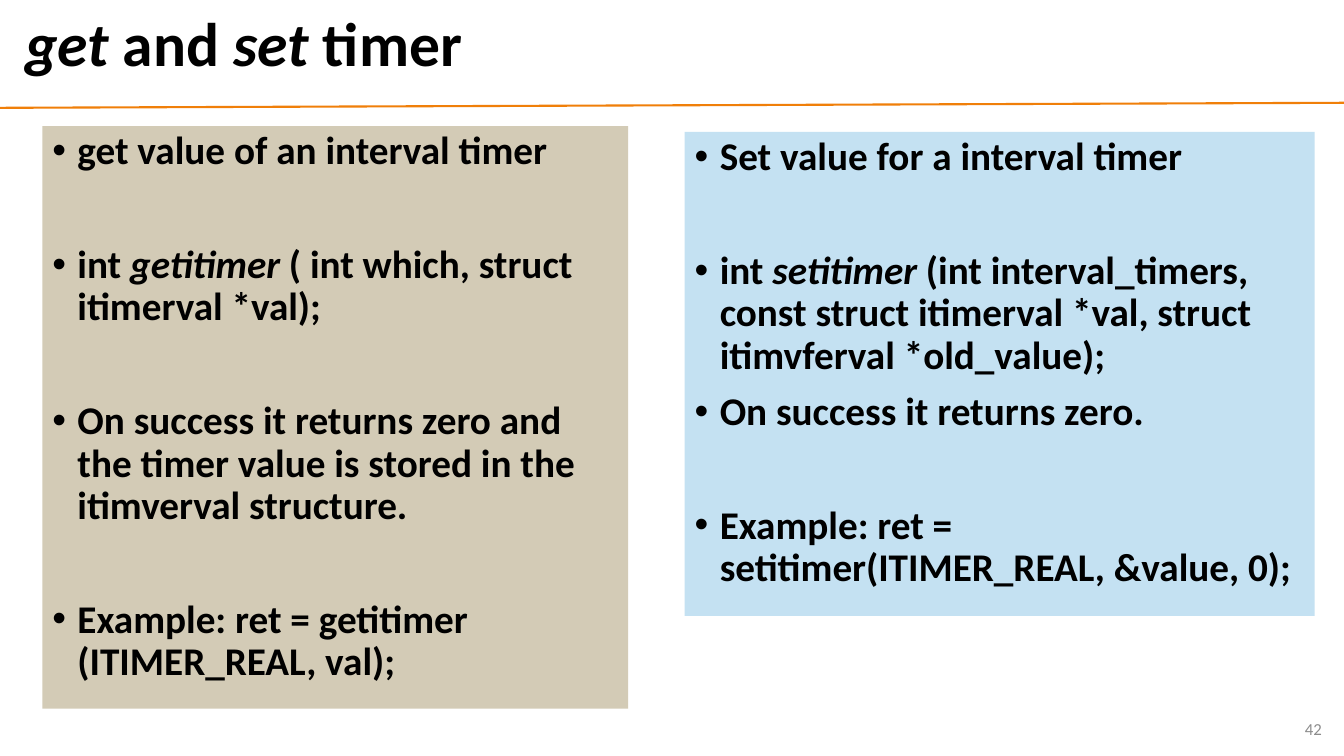
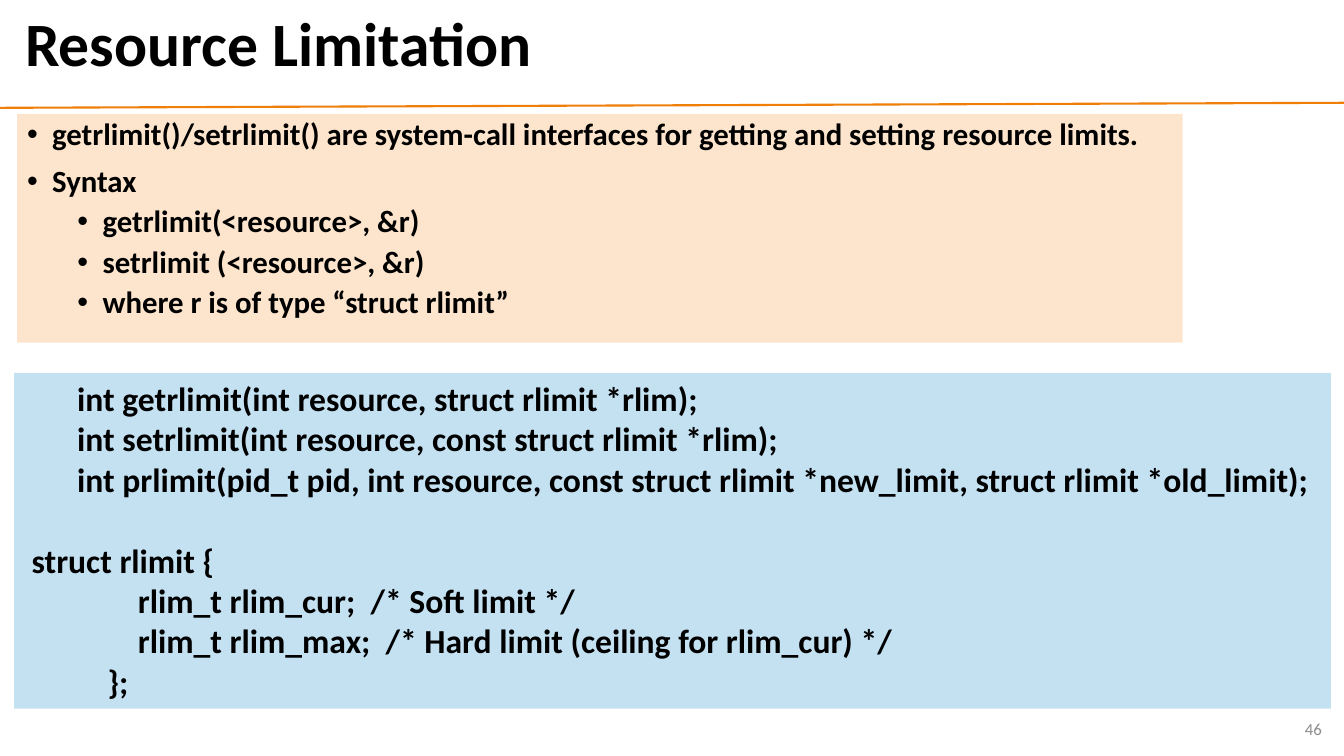
"""Build two slides on interval timers and resource limits."""
from lxml.etree import SubElement
from pptx import Presentation
from pptx.dml.color import RGBColor
from pptx.enum.shapes import MSO_CONNECTOR, MSO_SHAPE
from pptx.enum.text import MSO_ANCHOR, PP_ALIGN
from pptx.oxml.ns import qn
from pptx.util import Inches, Pt

FONT = "Calibri"
BLACK = RGBColor(0x00, 0x00, 0x00)
GRAY = RGBColor(0x8C, 0x8C, 0x8C)
ORANGE = RGBColor(0xF0, 0x7F, 0x09)
SAND = RGBColor(0xD3, 0xCB, 0xB6)
SKY = RGBColor(0xC4, 0xE1, 0xF2)
PEACH = RGBColor(0xFD, 0xE5, 0xCD)
NEAR, FAR = 10, 51

SLIDES = [
    {
        "title": [("get", True), (" and ", False), ("set", True), (" timer", False)],
        "number": "42",
        "panels": [
            {
                "place": (0.42, 1.25, 5.81, 5.78), "fill": SAND, "size": 28,
                "bullets": True, "align": PP_ALIGN.LEFT,
                "paragraphs": [
                    (0, 0, [("get value of an interval timer", False)]),
                    (FAR, 0, [("int ", False), ("getitimer", True),
                              (" ( int which, struct itimerval *val);", False)]),
                    (FAR, 0, [("On success it returns zero and the timer value is "
                               "stored in the itimverval structure.", False)]),
                    (FAR, 0, [("Example: ret = getitimer (ITIMER_REAL, val);", False)]),
                ],
            },
            {
                "place": (6.79, 1.31, 6.25, 4.8), "fill": SKY, "size": 28,
                "bullets": True, "align": PP_ALIGN.LEFT,
                "paragraphs": [
                    (0, 0, [("Set value for a interval timer", False)]),
                    (FAR, 0, [("int ", False), ("setitimer", True),
                              (" (int interval_timers, const struct itimerval *val, "
                               "struct itimvferval *old_value);", False)]),
                    (NEAR, 0, [("On success it returns zero.", False)]),
                    (FAR, 0, [("Example: ret = setitimer(ITIMER_REAL, &value, 0);", False)]),
                ],
            },
        ],
    },
    {
        "title": [("Resource Limitation", False)],
        "number": "46",
        "panels": [
            {
                "place": (0.14, 3.7, 13.06, 3.33), "fill": SKY, "size": 24,
                "bullets": False, "align": PP_ALIGN.LEFT,
                "paragraphs": [
                    (0, 0, [("       int getrlimit(int resource, struct rlimit *rlim);", False)]),
                    (0, 0, [("       int setrlimit(int resource, const struct rlimit *rlim);", False)]),
                    (0, 0, [("       int prlimit(pid_t pid, int resource, const struct rlimit "
                             "*new_limit, struct rlimit *old_limit);", False)]),
                    (29, 0, [(" struct rlimit {", False)]),
                    (0, 0, [("               rlim_t rlim_cur;  /* Soft limit */", False)]),
                    (0, 0, [("               rlim_t rlim_max;  /* Hard limit "
                             "(ceiling for rlim_cur) */", False)]),
                    (0, 0, [("           };", False)]),
                ],
            },
            {
                "place": (0.17, 1.13, 11.56, 2.27), "fill": PEACH, "size": 22,
                "bullets": True, "align": PP_ALIGN.JUSTIFY,
                "paragraphs": [
                    (0, 0, [("getrlimit()/setrlimit() are system-call interfaces for "
                             "getting and setting resource limits.", False)]),
                    (NEAR, 0, [("Syntax", False)]),
                    (5, 1, [("getrlimit(<resource>, &r)", False)]),
                    (5, 1, [("setrlimit (<resource>, &r)", False)]),
                    (5, 1, [("where r is of type “struct rlimit”", False)]),
                ],
            },
        ],
    },
]


def add_runs(paragraph, runs, size, color=BLACK, bold=True):
    for text, italic in runs:
        run = paragraph.add_run()
        run.text = text
        run.font.name = FONT
        run.font.size = Pt(size)
        run.font.bold = bold
        run.font.italic = italic
        run.font.color.rgb = color


def add_panel(slide, panel):
    shape = slide.shapes.add_shape(
        MSO_SHAPE.RECTANGLE, *[Inches(length) for length in panel["place"]])
    shape.shadow.inherit = False
    shape.fill.solid()
    shape.fill.fore_color.rgb = panel["fill"]
    shape.line.fill.background()
    frame = shape.text_frame
    frame.word_wrap = True
    frame.vertical_anchor = MSO_ANCHOR.TOP
    for index, (space, level, runs) in enumerate(panel["paragraphs"]):
        paragraph = frame.add_paragraph() if index else frame.paragraphs[0]
        paragraph.alignment = panel["align"]
        paragraph.level = level
        if panel["bullets"]:
            properties = paragraph._p.get_or_add_pPr()
            properties.set("marL", str(Inches(0.25 + 0.5 * level)))
            properties.set("indent", str(Inches(-0.25)))
            SubElement(properties, qn("a:buFont"), typeface="Arial")
            SubElement(properties, qn("a:buChar"), char="•")
            paragraph.line_spacing = 0.9
        paragraph.space_before = Pt(space)
        add_runs(paragraph, runs, panel["size"])


presentation = Presentation()
presentation.slide_width = Inches(13.33)
presentation.slide_height = Inches(7.5)
title_only = presentation.slide_layouts[5]

for content in SLIDES:
    slide = presentation.slides.add_slide(title_only)

    title = slide.shapes.title
    title.left, title.top = Inches(0.15), Inches(0.05)
    title.width, title.height = Inches(12.89), Inches(0.83)
    title.text_frame.word_wrap = True
    title.text_frame.vertical_anchor = MSO_ANCHOR.MIDDLE
    paragraph = title.text_frame.paragraphs[0]
    paragraph.alignment = PP_ALIGN.LEFT
    paragraph.line_spacing = 0.9
    add_runs(paragraph, content["title"], 44)

    rule = slide.shapes.add_connector(
        MSO_CONNECTOR.STRAIGHT, Inches(0), Inches(1.07), Inches(13.33), Inches(1.02))
    rule.line.color.rgb = ORANGE
    rule.line.width = Pt(1.5)
    SubElement(rule._element.spPr, qn("a:effectLst"))

    number = slide.shapes.add_textbox(Inches(10.21), Inches(7.03), Inches(3), Inches(0.4))
    number.text_frame.word_wrap = True
    number.text_frame.vertical_anchor = MSO_ANCHOR.MIDDLE
    paragraph = number.text_frame.paragraphs[0]
    paragraph.alignment = PP_ALIGN.RIGHT
    add_runs(paragraph, [(content["number"], False)], 12, GRAY, False)

    for panel in content["panels"]:
        add_panel(slide, panel)

presentation.save("out.pptx")
